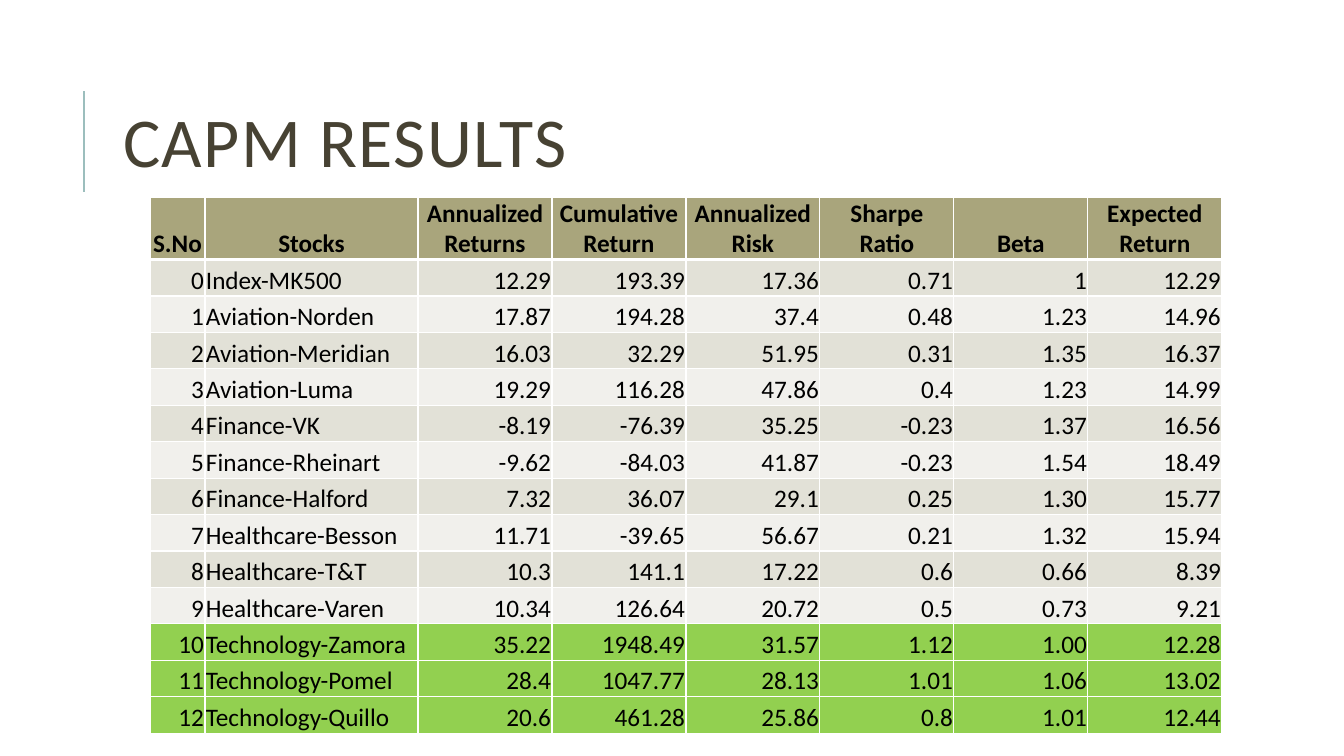
from lxml import etree
from pptx import Presentation
from pptx.dml.color import RGBColor
from pptx.enum.shapes import MSO_CONNECTOR
from pptx.enum.text import MSO_ANCHOR, MSO_AUTO_SIZE, PP_ALIGN
from pptx.oxml.ns import qn
from pptx.util import Pt

PX = 914400 / 100.8
LEFT, CENTER, RIGHT = PP_ALIGN.LEFT, PP_ALIGN.CENTER, PP_ALIGN.RIGHT
MIDDLE, BOTTOM = MSO_ANCHOR.MIDDLE, MSO_ANCHOR.BOTTOM
NO_AUTOFIT = MSO_AUTO_SIZE.NONE
STRAIGHT = MSO_CONNECTOR.STRAIGHT

COLORS = {
    "title": "474233",
    "accent": "9CBEBD",
    "text": "000000",
    "border": "FFFFFF",
    "header": "A9A57C",
    "odd": "E2E1D7",
    "even": "F1F0EC",
    "highlight": "92D050",
}
TITLE_FONT = {"name": "Calibri", "size": Pt(50), "bold": False}
HEADER_FONT = {"name": "Calibri", "size": Pt(18), "bold": True}
BODY_FONT = {"name": "Calibri", "size": Pt(18), "bold": False}

COLUMN_WIDTHS = [55, 213] + [134] * 6
HEADER_HEIGHT = 62
BODY_HEIGHT = 474
HEADERS = ["S.No", "Stocks", "Annualized Returns", "Cumulative Return",
           "Annualized Risk", "Sharpe Ratio", "Beta", "Expected Return"]
STOCKS = [
    ["Index-MK500", "12.29", "193.39", "17.36", "0.71", "1", "12.29"],
    ["Aviation-Norden", "17.87", "194.28", "37.4", "0.48", "1.23", "14.96"],
    ["Aviation-Meridian", "16.03", "32.29", "51.95", "0.31", "1.35", "16.37"],
    ["Aviation-Luma", "19.29", "116.28", "47.86", "0.4", "1.23", "14.99"],
    ["Finance-VK", "-8.19", "-76.39", "35.25", "-0.23", "1.37", "16.56"],
    ["Finance-Rheinart", "-9.62", "-84.03", "41.87", "-0.23", "1.54", "18.49"],
    ["Finance-Halford", "7.32", "36.07", "29.1", "0.25", "1.30", "15.77"],
    ["Healthcare-Besson", "11.71", "-39.65", "56.67", "0.21", "1.32", "15.94"],
    ["Healthcare-T&T", "10.3", "141.1", "17.22", "0.6", "0.66", "8.39"],
    ["Healthcare-Varen", "10.34", "126.64", "20.72", "0.5", "0.73", "9.21"],
    ["Technology-Zamora", "35.22", "1948.49", "31.57", "1.12", "1.00", "12.28"],
    ["Technology-Pomel", "28.4", "1047.77", "28.13", "1.01", "1.06", "13.02"],
    ["Technology-Quillo", "20.6", "461.28", "25.86", "0.8", "1.01", "12.44"],
]
FIRST_HIGHLIGHT = 10


def px(length):
    return round(length * PX)


def color(name):
    return RGBColor.from_string(COLORS[name])


def apply(target, values):
    for name, value in values.items():
        setattr(target, name, value)


def write_text(frame, text, font, color_name, align):
    para = frame.paragraphs[0]
    para.alignment = align
    span = para.add_run()
    span.text = text
    apply(span.font, font)
    span.font.color.rgb = color(color_name)
    return para, span


def add_title(page, text):
    title = page.shapes.title
    apply(title, {"left": px(113), "top": px(65),
                  "width": px(1072), "height": px(165)})
    frame = title.text_frame
    apply(frame, {"word_wrap": True, "auto_size": NO_AUTOFIT,
                  "vertical_anchor": MIDDLE})
    para, span = write_text(frame, text, TITLE_FONT, "title", LEFT)
    para.line_spacing = 0.8
    span.font._element.set("spc", "100")


def add_accent_line(page):
    line = page.shapes.add_connector(STRAIGHT, px(84), px(192), px(84), px(91))
    line.line.color.rgb = color("accent")
    line.line.width = Pt(1.5)
    etree.SubElement(line._element.spPr, qn("a:effectLst"))


def set_borders(cell, widths):
    properties = cell._tc.get_or_add_tcPr()
    for side, width in widths.items():
        border = etree.SubElement(properties, qn(f"a:ln{side}"), w=str(Pt(width)))
        fill = etree.SubElement(border, qn("a:solidFill"))
        etree.SubElement(fill, qn("a:srgbClr"), val=COLORS["border"])


def fill_cell(cell, text, font, align, fill, borders):
    apply(cell, {"margin_left": px(1), "margin_right": px(1),
                 "margin_top": px(1), "margin_bottom": 0,
                 "vertical_anchor": BOTTOM})
    set_borders(cell, borders)
    cell.fill.solid()
    cell.fill.fore_color.rgb = color(fill)
    write_text(cell.text_frame, text, font, "text", align)


def add_results_table(page):
    box = page.shapes.add_table(
        len(STOCKS) + 1, len(HEADERS), px(150), px(197),
        px(sum(COLUMN_WIDTHS)), px(HEADER_HEIGHT + BODY_HEIGHT))
    table = box.table
    for column, width in zip(table.columns, COLUMN_WIDTHS):
        column.width = px(width)
    for row in table.rows:
        row.height = px(BODY_HEIGHT / len(STOCKS))
    table.rows[0].height = px(HEADER_HEIGHT)

    for column, text in enumerate(HEADERS):
        fill_cell(table.cell(0, column), text, HEADER_FONT, CENTER, "header",
                  {"L": 1, "R": 1, "T": 1, "B": 3})
    for number, stock in enumerate(STOCKS):
        fill = "even" if number % 2 else "odd"
        if number >= FIRST_HIGHLIGHT:
            fill = "highlight"
        borders = {"L": 1, "R": 1, "T": 1 if number else 3, "B": 1}
        for column, text in enumerate([str(number)] + stock):
            align = LEFT if column == 1 else RIGHT
            fill_cell(table.cell(number + 1, column), text, BODY_FONT,
                      align, fill, borders)


def main():
    deck = Presentation()
    apply(deck, {"slide_width": px(1344), "slide_height": px(756)})
    page = deck.slides.add_slide(deck.slide_layouts[5])
    add_accent_line(page)
    add_title(page, "CAPM RESULTS")
    add_results_table(page)
    deck.save("out.pptx")


if __name__ == "__main__":
    main()
